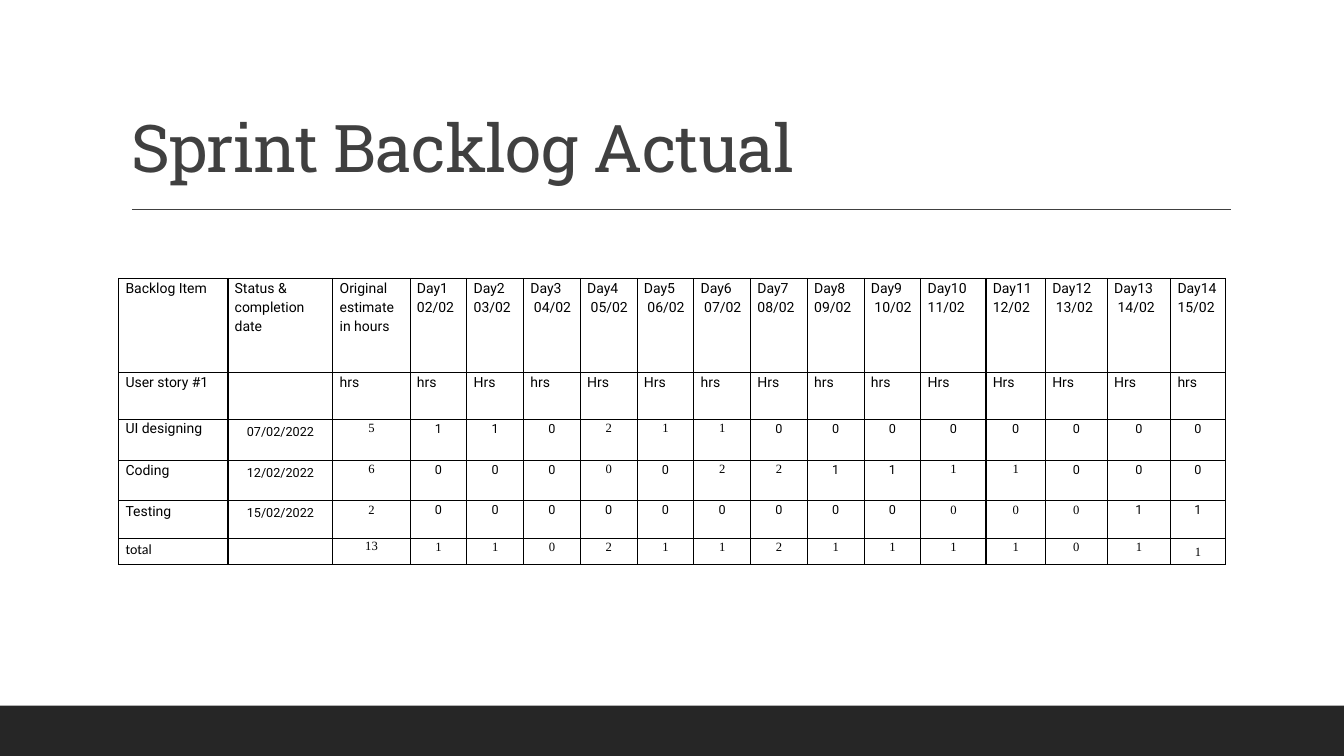
from lxml import etree
from pptx import Presentation, util as u
from pptx.dml.color import RGBColor
from pptx.enum import shapes, text
from pptx.oxml import ns

BLACK = RGBColor(0x00, 0x00, 0x00)
FOOTER = RGBColor(0x26, 0x26, 0x26)
GREY = RGBColor(0x40, 0x40, 0x40)
SANS, SERIF = "Roboto", "Times New Roman"
EDGES = ("a:lnL", "a:lnR", "a:lnT", "a:lnB")


def add_borders(cell):
    props = cell._tc.get_or_add_tcPr()
    for edge in EDGES:
        line = etree.SubElement(props, ns.qn(edge), w=str(u.Pt(1)))
        fill = etree.SubElement(line, ns.qn("a:solidFill"))
        etree.SubElement(fill, ns.qn("a:srgbClr"), val=str(BLACK))


def format_para(para, size, font, align=text.PP_ALIGN.LEFT, spacing=1.15, after=0):
    para.alignment, para.line_spacing = align, spacing
    para.space_after = u.Pt(after)
    for span in para.runs:
        span.font.size, span.font.name = u.Pt(size), font
        span.font.color.rgb = BLACK


deck = Presentation()
deck.slide_width, deck.slide_height = u.Pt(960), u.Pt(540)
page = deck.slides.add_slide(deck.slide_layouts[5])

# Footer band
band = page.shapes.add_shape(shapes.MSO_SHAPE.RECTANGLE,
                             u.Pt(0), u.Pt(504), u.Pt(960), u.Pt(36))
band.shadow.inherit = False
band.fill.solid()
band.fill.fore_color.rgb = FOOTER
band.line.fill.background()

# Rule under the title
rule = page.shapes.add_connector(shapes.MSO_CONNECTOR.STRAIGHT,
                                 u.Pt(94.3), u.Pt(149.5), u.Pt(879), u.Pt(149.5))
rule.line.color.rgb = GREY
rule.line.width = u.Pt(1)
etree.SubElement(rule._element.spPr, ns.qn("a:effectLst"))

# Title
title = page.shapes.title
title.left, title.top, title.width, title.height = u.Pt(86.4), u.Pt(22.5), u.Pt(792), u.Pt(114.3)
frame = title.text_frame
frame.text = "Sprint Backlog Actual"
frame.word_wrap = True
frame.auto_size = text.MSO_AUTO_SIZE.NONE
frame.vertical_anchor = text.MSO_ANCHOR.BOTTOM
para = frame.paragraphs[0]
para.alignment, para.line_spacing = text.PP_ALIGN.LEFT, 0.9
span = para.runs[0]
span.font.size, span.font.name = u.Pt(47), "Roboto Slab"
span.font.color.rgb = GREY
span.font._element.set("spc", "-50")

# Table contents: one column per day, starting on 2 February
INDENTED_DAYS = {3, 4, 5, 6, 9, 12, 13}
header = ["Backlog Item", "Status & completion date", "Original estimate in hours"]
header += [f"Day{day}\n{day + 1:02}/02" for day in range(1, 15)]
units = "hrs hrs Hrs hrs Hrs Hrs hrs Hrs hrs hrs Hrs Hrs Hrs Hrs hrs".split()
rows = [
    header,
    ["User story #1", "", *units],
    ["UI designing", "07/02/2022", "5", *"11021100000000"],
    ["Coding", "12/02/2022", "6", *"00000221111000"],
    ["Testing", "15/02/2022", "2", *"00000000000011"],
    ["total", "", "13", *"11021121111011"],
]
# Columns whose figures are set in the serif face, by row
SERIF_COLUMNS = {2: {2, 6, 7, 8}, 3: {2, 6, 8, 9, 12, 13},
                 4: {2, 12, 13, 14}, 5: set(range(2, 17))}
widths = [78, 75, 55.2] + [40.55] * 9 + [46.5, 42.5, 44.2, 45.3, 38.9]
heights = [67.2, 33.5, 29.2, 29, 26.8, 18.8]

# Backlog table
holder = page.shapes.add_table(len(rows), len(widths), u.Pt(84.8), u.Pt(198.9),
                               u.Pt(sum(widths)), u.Pt(sum(heights)))
table = holder.table
table.first_row = table.horz_banding = False
for column, width in zip(table.columns, widths):
    column.width = u.Pt(width)
for row, height in zip(table.rows, heights):
    row.height = u.Pt(height)

for r, words in enumerate(rows):
    for c, word in enumerate(words):
        cell = table.cell(r, c)
        is_date = c == 1 and r > 1
        is_figure = c > 1 and r > 1
        side, end = (7.2, 3.6) if is_date else (4.3, 0) if is_figure else (4.9, 0)
        cell.margin_left = cell.margin_right = u.Pt(side)
        cell.margin_top = cell.margin_bottom = u.Pt(end)
        add_borders(cell)
        cell.fill.background()
        cell.text_frame.text = word
        for para in cell.text_frame.paragraphs:
            if not word:
                etree.SubElement(para._p, ns.qn("a:endParaRPr"), sz="900")
            elif is_date:
                format_para(para, 9, SANS, text.PP_ALIGN.CENTER, 1)
            elif is_figure:
                font = SERIF if c in SERIF_COLUMNS[r] else SANS
                format_para(para, 9, font, text.PP_ALIGN.CENTER)
            else:
                format_para(para, 10, "Calibri" if word == "total" else SANS)
        if r == 0 and c - 2 in INDENTED_DAYS:
            date = cell.text_frame.paragraphs[1]
            date._p.get_or_add_pPr().set("marL", str(u.Pt(2.5)))

# Cells with their own spacing
format_para(table.cell(2, 0).text_frame.paragraphs[0], 10, SANS, spacing=1.07, after=8)
format_para(table.cell(5, 2).text_frame.paragraphs[0], 9, SERIF,
            text.PP_ALIGN.CENTER, 1.07, 8)
last = table.cell(5, 16)
last.margin_left = last.margin_right = u.Pt(0)
last.vertical_anchor = text.MSO_ANCHOR.MIDDLE

deck.save("out.pptx")
